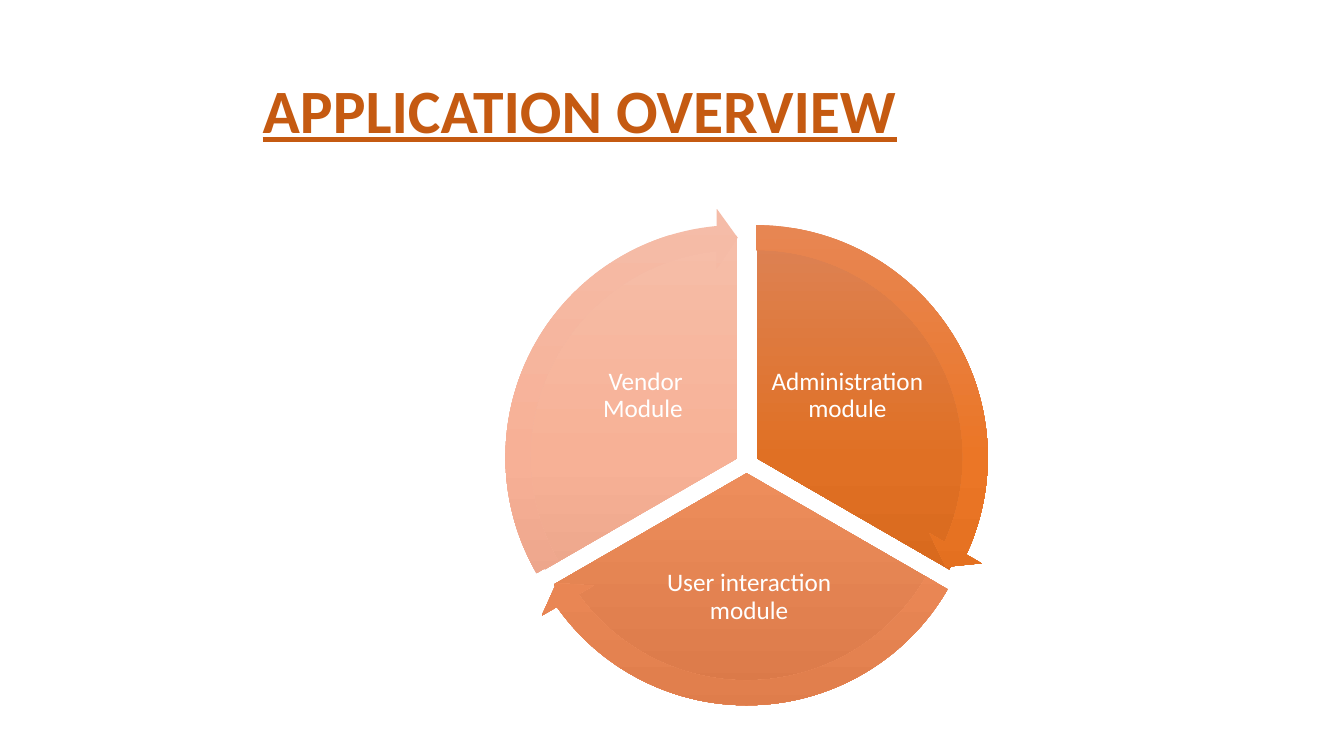
from copy import deepcopy

from pptx import Presentation
from pptx.dml.color import RGBColor
from pptx.enum.shapes import MSO_SHAPE
from pptx.enum.text import MSO_ANCHOR, MSO_AUTO_SIZE, PP_ALIGN
from pptx.oxml.ns import qn
from pptx.util import Pt

PIE, CIRCULAR_ARROW = MSO_SHAPE.PIE, MSO_SHAPE.CIRCULAR_ARROW
MIDDLE, CENTER, NO_AUTOFIT = MSO_ANCHOR.MIDDLE, PP_ALIGN.CENTER, MSO_AUTO_SIZE.NONE

EMU_PER_PX = 9144  # 100 px to the inch
SLIDE_SIZE = (1333, 750)
TITLE = "APPLICATION OVERVIEW"
TITLE_BOX = (0, 40, 1150, 145)
PIE_SIZE, ARROW_SIZE = 441, 495
STOP_POSITIONS = (0, 0.5, 1)

# Angles are clockwise degrees from three o'clock.
MODULES = [
    dict(label="Administration module", label_box=(762, 327, 157, 131),
         pie_corner=(530, 234), pie_angles=(270, 30),
         pie_colors=("DD8254", "E07024", "D06216"),
         arrow_corner=(502, 206), arrow_angles=(24.54, 269.99),
         arrow_colors=("E78756", "EB7626", "DB6718")),
    dict(label="User interaction module", label_box=(625, 535, 236, 115),
         pie_corner=(520, 249), pie_angles=(30, 150),
         pie_colors=("EB9C77", "ED8D5B", "DB7A49"),
         arrow_corner=(493, 222), arrow_angles=(144.53, 30.01),
         arrow_colors=("EF9E79", "F28F5D", "DF7D4B")),
    dict(label="Vendor Module ", label_box=(562, 327, 157, 131),
         pie_corner=(511, 234), pie_angles=(150, 270),
         pie_colors=("F6BDA8", "F7B196", "E29A80"),
         arrow_corner=(484, 206), arrow_angles=(264.55, 150),
         arrow_colors=("F5BCA8", "F7B096", "E29A7F")),
]


def px(*lengths):
    return [length * EMU_PER_PX for length in lengths]


def color(hex_string):
    return RGBColor.from_string(hex_string)


def adjust_angle(degrees):
    """Turn degrees into the adjustment unit of python-pptx."""
    return degrees * 60000 / 100000


def write(frame, text, size, hex_color, bold=False, underline=False, inset=None, after=None):
    frame.word_wrap = True
    frame.auto_size = NO_AUTOFIT
    frame.vertical_anchor = MIDDLE
    if inset is not None:
        frame.margin_left = frame.margin_top = inset * EMU_PER_PX
        frame.margin_right = frame.margin_bottom = inset * EMU_PER_PX
    paragraph = frame.paragraphs[0]
    paragraph.alignment = CENTER
    paragraph.line_spacing = 0.9
    if after is not None:
        paragraph.space_after = Pt(after)
    run = paragraph.add_run()
    run.text = text
    run.font.name = "Calibri"
    run.font.size = Pt(size)
    run.font.bold = bold
    run.font.underline = underline
    run.font.color.rgb = color(hex_color)


def fill_downward(shape, hex_colors):
    """Fill with a three-stop gradient from top to bottom."""
    shape.fill.gradient()
    shape.fill.gradient_angle = 270
    stop_list = shape._element.spPr.find(qn("a:gradFill")).find(qn("a:gsLst"))
    stop_list.append(deepcopy(stop_list[0]))
    for stop, position, hex_color in zip(shape.fill.gradient_stops, STOP_POSITIONS, hex_colors):
        stop.position = position
        stop.color.rgb = color(hex_color)


def add_round_part(slide, preset, corner, size, adjustments, hex_colors):
    part = slide.shapes.add_shape(preset, *px(*corner, size, size))
    part.shadow.inherit = False
    part.line.fill.background()
    for index, value in enumerate(adjustments):
        part.adjustments[index] = value
    fill_downward(part, hex_colors)


def main():
    deck = Presentation()
    deck.slide_width, deck.slide_height = px(*SLIDE_SIZE)
    slide = deck.slides.add_slide(deck.slide_layouts[5])

    title = slide.shapes.title
    title.left, title.top, title.width, title.height = px(*TITLE_BOX)
    write(title.text_frame, TITLE, 44, "C55A11", bold=True, underline=True)

    for module in MODULES:
        angles = [adjust_angle(angle) for angle in module["pie_angles"]]
        add_round_part(slide, PIE, module["pie_corner"], PIE_SIZE, angles, module["pie_colors"])
        label = slide.shapes.add_textbox(*px(*module["label_box"]))
        write(label.text_frame, module["label"], 18, "FFFFFF", inset=3, after=6.3)

    for module in MODULES:
        head, tail = [adjust_angle(angle) for angle in module["arrow_angles"]]
        adjustments = (0.05, adjust_angle(5.46), head, tail, 0.06)
        add_round_part(slide, CIRCULAR_ARROW, module["arrow_corner"], ARROW_SIZE,
                       adjustments, module["arrow_colors"])

    deck.save("out.pptx")


if __name__ == "__main__":
    main()
